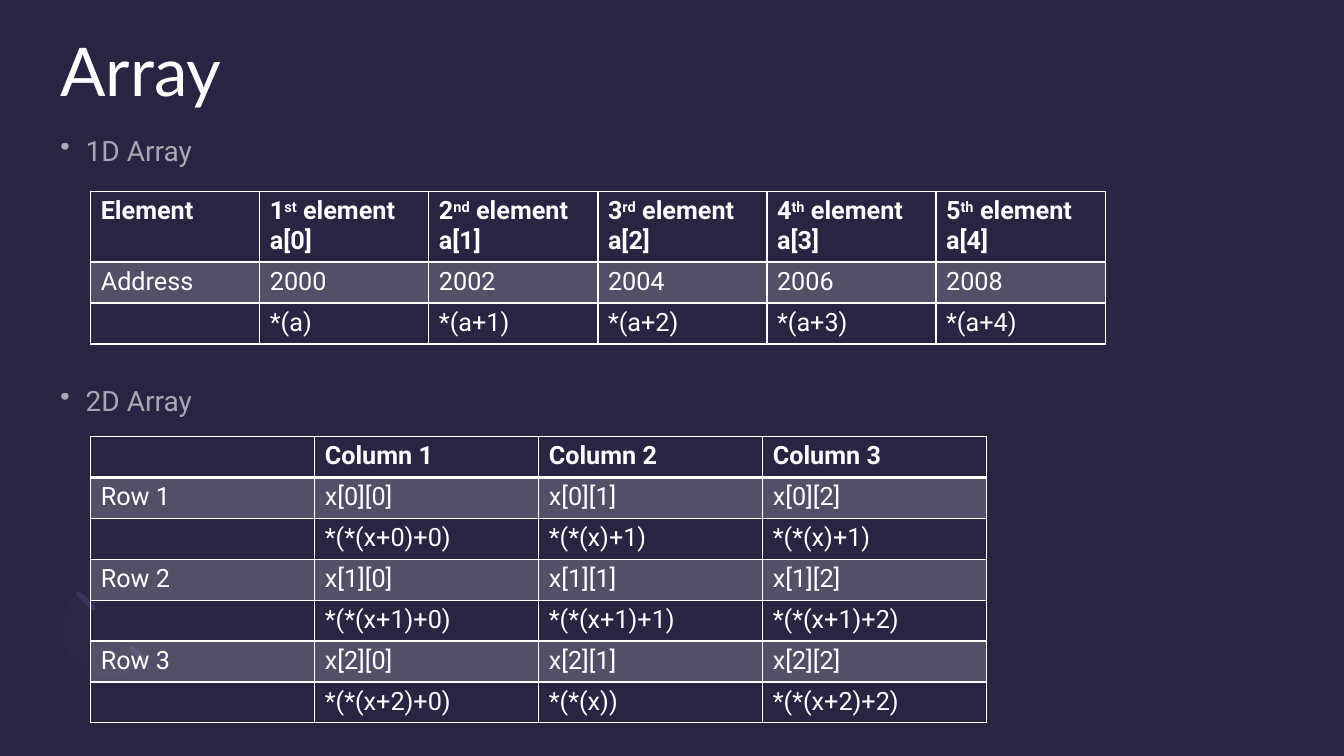
import dataclasses
import pptx
import pptx.util
import pptx.oxml
import pptx.oxml.ns
import pptx.dml.color
import pptx.enum.shapes

QN = pptx.oxml.ns.qn
NS = pptx.oxml.ns.nsdecls("a")


@dataclasses.dataclass(frozen=True)
class Theme:
    back: str = "292441"
    ink: str = "FFFFFF"
    dot: str = "3A335B"
    arc: str = "867BB6"
    head: str = "Lato"
    body: str = "Roboto"
    title: int = 48
    item: int = 20
    cell: int = 18
    thin: int = 1
    thick: int = 2


THEME = Theme()
UNIT = 0.1


def span(count):
    return pptx.util.Inches(count * UNIT)


def paint(fill, color, alpha=100):
    fill.solid()
    fill.fore_color.rgb = pptx.dml.color.RGBColor.from_string(color)
    return alpha


def fade(node, alpha):
    for tint in node.iter(QN("a:srgbClr")):
        tint.append(pptx.oxml.parse_xml(f'<a:alpha {NS} val="{alpha * 1000}"/>'))


def style(para, face, size, bold=False):
    para.font.name = face
    para.font.size = pptx.util.Pt(size)
    para.font.bold = bold
    paint(para.font.fill, THEME.ink)


def add_box(slide, left, top, width, height):
    frame = slide.shapes.add_textbox(*map(span, (left, top, width, height))).text_frame
    frame.word_wrap = True
    frame.margin_left = frame.margin_right = 0
    frame.margin_top = frame.margin_bottom = 0
    return frame


def add_title(slide, text):
    para = add_box(slide, 6, 2.9, 121.3, 14.6).paragraphs[0]
    para.text = text
    style(para, THEME.head, THEME.title)


def add_items(slide, items):
    frame = add_box(slide, 6, 12.9, 121.3, 43.5)
    for index, (text, gap) in enumerate(items):
        para = frame.add_paragraph() if index else frame.paragraphs[0]
        para.text = text
        para.line_spacing = 1.1
        para.space_before = pptx.util.Pt(gap)
        para.space_after = pptx.util.Pt(8)
        style(para, THEME.body, THEME.item)
        props = para._p.get_or_add_pPr()
        props.set("marL", str(span(2.5)))
        props.set("indent", str(-span(2.5)))
        fade(props, 60)
        mark = pptx.oxml.parse_xml(f'<a:buChar {NS} char="•"/>')
        props.find(QN("a:defRPr")).addprevious(mark)


def fill_cell(cell, text, head):
    cell.text = ""
    for index, line in enumerate(text.split("\n")):
        frame = cell.text_frame
        para = frame.add_paragraph() if index else frame.paragraphs[0]
        style(para, THEME.body, THEME.cell, head)
        for part, word in enumerate(line.split("|")):
            if word:
                run = para.add_run()
                run.text = word
                if part % 2:
                    run._r.get_or_add_rPr().set("baseline", "30000")


def edge_cell(cell, top, bottom):
    props = cell._tc.get_or_add_tcPr()
    sides = {"L": THEME.thin, "R": THEME.thin, "T": top, "B": bottom}
    for index, (side, width) in enumerate(sides.items()):
        props.insert(index, pptx.oxml.parse_xml(
            f'<a:ln{side} {NS} w="{pptx.util.Pt(width)}"><a:solidFill>'
            f'<a:srgbClr val="{THEME.ink}"/></a:solidFill></a:ln{side}>'))


def add_grid(slide, left, top, step, first, rows):
    cols = len(rows[0])
    high = first + 4.06 * (len(rows) - 1)
    place = map(span, (left, top, step * cols, high))
    table = slide.shapes.add_table(len(rows), cols, *place).table
    table.horz_banding = False
    for col in table.columns:
        col.width = span(step)
    for r, row in enumerate(rows):
        table.rows[r].height = span(4.06 if r else first)
        for c, text in enumerate(row):
            cell = table.cell(r, c)
            fill_cell(cell, text, r == 0)
            if r % 2:
                paint(cell.fill, THEME.ink)
                fade(cell._tc.tcPr, 20)
            else:
                cell.fill.background()
            edge_cell(cell, THEME.thick if r == 1 else THEME.thin,
                      THEME.thick if r == 0 else THEME.thin)


def add_dot(slide, left, top):
    oval = pptx.enum.shapes.MSO_SHAPE.OVAL
    dot = slide.shapes.add_shape(oval, *map(span, (left, top, 0.6, 2.6)))
    dot.rotation = 135
    dot.shadow.inherit = False
    paint(dot.fill, THEME.dot)
    dot.line.fill.background()


def curve(a, b, c, d, steps=12):
    for k in range(1, steps + 1):
        t = k / steps
        u = 1 - t
        yield tuple(span(u**3 * p + 3 * u * u * t * q + 3 * u * t * t * r + t**3 * s)
                    for p, q, r, s in zip(a, b, c, d))


def add_arc(slide):
    start, tip, turn = (7.6, 65.9), (8.1, 58.2), (9.6, 63.8)
    inner, foot, edge = (9.9, 60), (13.5, 63.6), (15.2, 65.4)
    points = [
        *curve(start, (5.6, 63.9), (5.8, 60.5), tip),
        tuple(map(span, inner)),
        *curve(inner, (8.7, 61.1), (8.6, 62.9), turn),
        *curve(turn, (10.6, 64.8), (12.3, 64.7), foot),
        tuple(map(span, edge)),
        *curve(edge, (13, 67.6), (9.5, 67.9), start),
    ]
    pen = slide.shapes.build_freeform(*map(span, start))
    pen.add_line_segments(points, close=True)
    arc = pen.convert_to_shape()
    arc.shadow.inherit = False
    paint(arc.fill, THEME.arc)
    fade(arc._element.spPr, 3)
    arc.line.fill.background()


def main():
    deck = pptx.Presentation()
    deck.slide_width = pptx.util.Inches(13.33)
    deck.slide_height = pptx.util.Inches(7.5)
    slide = deck.slides.add_slide(deck.slide_layouts[6])
    paint(slide.background.fill, THEME.back)
    add_dot(slide, 13.5, 63.7)
    add_dot(slide, 8.2, 58.3)
    add_arc(slide)
    add_title(slide, "Array")
    add_items(slide, [("1D Array", 10), ("2D Array", 144)])
    ends = ["st", "nd", "rd", "th", "th"]
    add_grid(slide, 9, 19, 16.77, 6.9, [
        ["Element"] + [f"{n + 1}|{end}| element\na[{n}]" for n, end in enumerate(ends)],
        ["Address"] + [str(2000 + 2 * n) for n in range(5)],
        ["", "*(a)"] + [f"*(a+{n})" for n in range(1, 5)],
    ])
    sums = [
        ["*(*(x+0)+0)", "*(*(x)+1)", "*(*(x)+1)"],
        ["*(*(x+1)+0)", "*(*(x+1)+1)", "*(*(x+1)+2)"],
        ["*(*(x+2)+0)", "*(*(x))", "*(*(x+2)+2)"],
    ]
    rows = [[""] + [f"Column {n}" for n in range(1, 4)]]
    for n, line in enumerate(sums):
        rows.append([f"Row {n + 1}"] + [f"x[{n}][{m}]" for m in range(3)])
        rows.append([""] + line)
    add_grid(slide, 9, 43.3, 22.22, 4.06, rows)
    deck.save("out.pptx")


if __name__ == "__main__":
    main()
